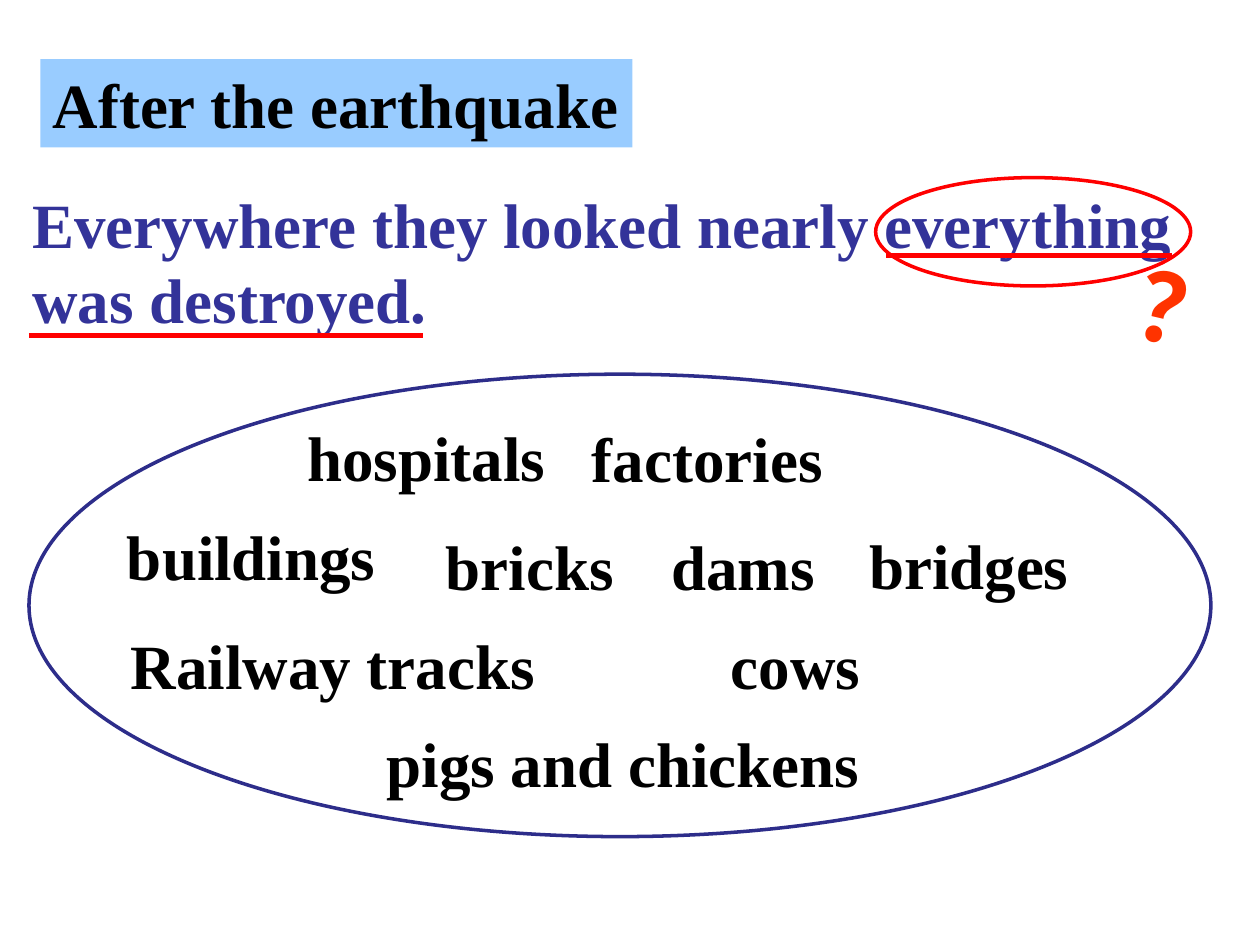
from lxml import etree
from pptx import Presentation
from pptx.dml.color import RGBColor
from pptx.enum.shapes import MSO_CONNECTOR, MSO_SHAPE
from pptx.enum.text import PP_ALIGN
from pptx.oxml.ns import qn
from pptx.util import Inches, Pt

OVAL, RECTANGLE = MSO_SHAPE.OVAL, MSO_SHAPE.RECTANGLE
STRAIGHT = MSO_CONNECTOR.STRAIGHT
LEFT, CENTER = PP_ALIGN.LEFT, PP_ALIGN.CENTER
BLACK = RGBColor(0x00, 0x00, 0x00)
WHITE = RGBColor(0xFF, 0xFF, 0xFF)
NAVY = RGBColor(0x2D, 0x2D, 0x8A)
INDIGO = RGBColor(0x33, 0x33, 0x99)
SKY = RGBColor(0x99, 0xCC, 0xFF)
RED = RGBColor(0xFF, 0x00, 0x00)
ORANGE = RGBColor(0xFF, 0x33, 0x00)

BODY = {"name": "Times New Roman", "size": Pt(36), "bold": True}
MARK = {"name": "Lato", "size": Pt(54), "bold": True}

TITLE = ("After the earthquake", (0.32, 0.47, 4.7, 0.7))
SENTENCE = ("Everywhere they looked nearly everything was destroyed.", (0.16, 1.42, 9.3, 1.3))
QUESTION = ("？", (8.93, 1.97, 0.96, 1))
WORDS_OVAL = (0.23, 2.97, 9.38, 3.67)
EVERYTHING_OVAL = (6.95, 1.41, 2.5, 0.86)
UNDERLINES = [(7.03, 9.3, 2.03), (0.23, 3.36, 2.66)]
WORDS = [
    ("hospitals", (2.34, 3.34, 2.97, 0.64), {"line_spacing": 0.9}),
    ("factories", (4.6, 3.28, 2.03, 0.7), {}),
    ("buildings", (0.63, 4.06, 2.73, 0.7), {"alignment": CENTER}),
    ("bricks", (3.44, 4.14, 5.55, 0.7), {}),
    ("dams", (5.23, 4.14, 3.75, 0.7), {}),
    ("bridges", (6.8, 4.2, 2.97, 0.64), {"line_spacing": 0.9}),
    ("Railway tracks", (0.94, 4.92, 3.41, 0.7), {}),
    ("cows", (5.7, 4.92, 1.48, 0.7), {}),
    ("pigs and chickens", (2.97, 5.7, 5.16, 0.7), {}),
]
UNWRAPPED = {"After the earthquake", "factories", "Railway tracks"}


def add_shape(page, kind, place, fill=None, line=None):
    shape = page.shapes.add_shape(kind, *map(Inches, place))
    shape.shadow.inherit = False
    if fill is None:
        shape.fill.background()
    else:
        shape.fill.solid()
        shape.fill.fore_color.rgb = fill
    if line is None:
        shape.line.fill.background()
    else:
        shape.line.color.rgb = line
        shape.line.width = Pt(2)
    return shape


def write(shape, text, font, color, layout=None):
    frame = shape.text_frame
    frame.word_wrap = text not in UNWRAPPED
    para = frame.paragraphs[0]
    for name, value in {"alignment": LEFT, **(layout or {})}.items():
        setattr(para, name, value)
    span = para.add_run()
    span.text = text
    for name, value in font.items():
        setattr(span.font, name, value)
    span.font.color.rgb = color
    etree.SubElement(span.font._element, qn("a:ea"), typeface=font["name"])


def add_text(page, text, place, font, color, layout=None):
    box = page.shapes.add_textbox(*map(Inches, place))
    write(box, text, font, color, layout)
    return box


def add_underline(page, left, right, top):
    line = page.shapes.add_connector(
        STRAIGHT, Inches(left), Inches(top), Inches(right), Inches(top))
    line.line.color.rgb = RED
    line.line.width = Pt(3)
    etree.SubElement(line._element.spPr, qn("a:effectLst"))


def main():
    deck = Presentation()
    deck.slide_width, deck.slide_height = Inches(10), Inches(7.5)
    page = deck.slides.add_slide(deck.slide_layouts[6])

    add_shape(page, OVAL, WORDS_OVAL, WHITE, NAVY)
    title, title_place = TITLE
    write(add_shape(page, RECTANGLE, title_place, SKY), title, BODY, BLACK)
    add_text(page, *SENTENCE, BODY, INDIGO)
    for underline in UNDERLINES:
        add_underline(page, *underline)
    add_shape(page, OVAL, EVERYTHING_OVAL, line=RED)
    add_text(page, *QUESTION, MARK, ORANGE).rotation = 13.2
    for word, place, layout in WORDS:
        add_text(page, word, place, BODY, BLACK, layout)

    deck.save("out.pptx")


if __name__ == "__main__":
    main()
